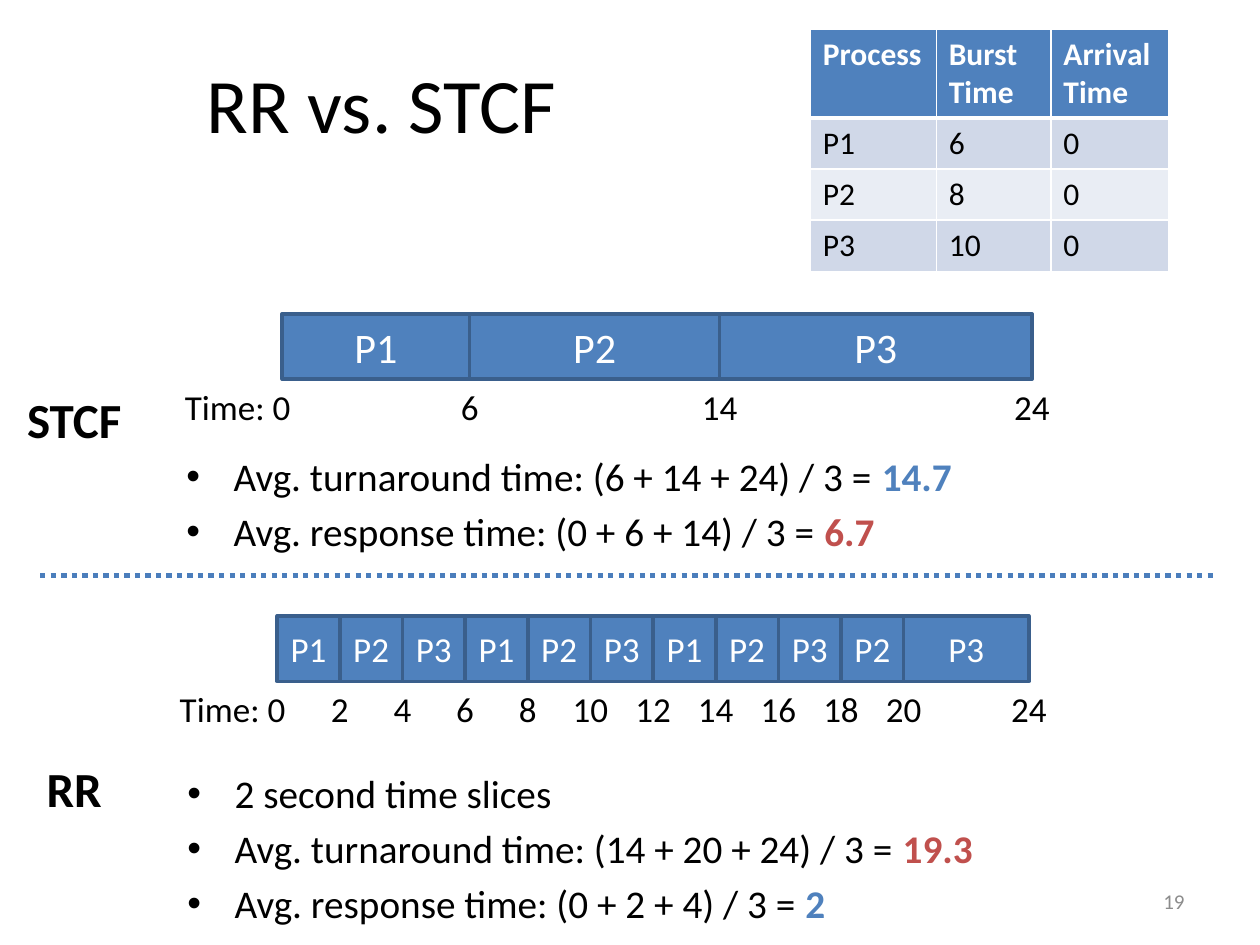
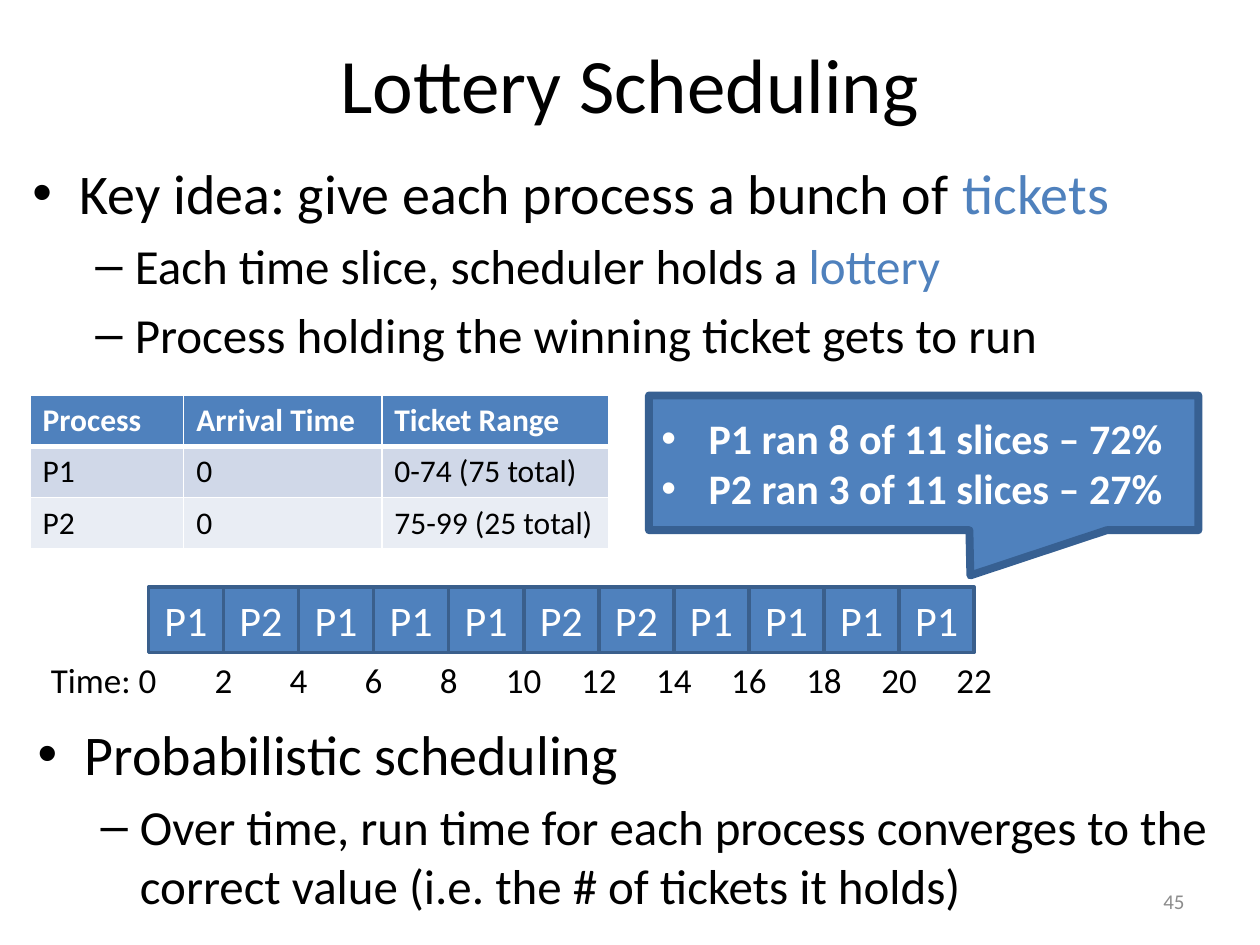
from lxml import etree
from pptx import Presentation
from pptx.dml.color import RGBColor
from pptx.enum.dml import MSO_LINE
from pptx.enum.shapes import MSO_CONNECTOR, MSO_SHAPE
from pptx.enum.text import MSO_ANCHOR, PP_ALIGN
from pptx.oxml.ns import qn
from pptx.util import Pt

BLUE = RGBColor(0x4F, 0x81, 0xBD)
EDGE = RGBColor(0x3A, 0x5F, 0x8C)
NAVY = RGBColor(0x37, 0x60, 0x92)
RULE = RGBColor(0x4B, 0x7E, 0xBC)
RED = RGBColor(0xC0, 0x50, 0x4D)
BLACK = RGBColor(0, 0, 0)
WHITE = RGBColor(255, 255, 255)
GRAY = RGBColor(0x8C, 0x8C, 0x8C)
BAND = RGBColor(0xD0, 0xD8, 0xE8)
PALE = RGBColor(0xE9, 0xED, 0xF4)
FONT = "Calibri"
LEFT, MID, RIGHT = PP_ALIGN.LEFT, PP_ALIGN.CENTER, PP_ALIGN.RIGHT
TOP, MIDDLE = MSO_ANCHOR.TOP, MSO_ANCHOR.MIDDLE
RECT, CALLOUT = MSO_SHAPE.RECTANGLE, MSO_SHAPE.RECTANGULAR_CALLOUT
LINE, DOTS = MSO_CONNECTOR.STRAIGHT, MSO_LINE.ROUND_DOT

# Bullet mark, left margin and hanging indent for each level
LEVELS = [("•", 27, -27), ("–", 58.5, -22.5)]


def style(par, size, color=BLACK, bold=False, align=LEFT):
    par.alignment = align
    for run in par.runs:
        font = run.font
        font.name, font.size, font.bold = FONT, Pt(size), bold
        font.color.rgb = color


def bullet(par, level=0):
    mark, left, hang = LEVELS[level]
    par.level = level
    props = par._p.get_or_add_pPr()
    props.set("marL", str(Pt(left)))
    props.set("indent", str(Pt(hang)))
    etree.SubElement(props, qn("a:buFont")).set("typeface", "Arial")
    etree.SubElement(props, qn("a:buChar")).set("char", mark)


def label(slide, box, text, size, color=BLACK, bold=False, align=MID,
          anchor=TOP, wrap=False):
    frame = slide.shapes.add_textbox(*map(Pt, box)).text_frame
    frame.word_wrap = wrap
    frame.vertical_anchor = anchor
    frame.text = text
    style(frame.paragraphs[0], size, color, bold, align)


def block(slide, kind, box, fill, edge, weight):
    shape = slide.shapes.add_shape(kind, *map(Pt, box))
    shape.shadow.inherit = False
    shape.fill.solid()
    shape.fill.fore_color.rgb = fill
    shape.line.color.rgb = edge
    shape.line.width = Pt(weight)
    shape.text_frame.vertical_anchor = MIDDLE
    return shape


def frame_slide(deck, title, box, number):
    """Add a slide with its title and page number."""
    slide = deck.slides.add_slide(deck.slide_layouts[6])
    label(slide, box, title, 44, anchor=MIDDLE, wrap=True)
    label(slide, (516, 500.5, 168, 28.8), number, 12, GRAY,
          align=RIGHT, anchor=MIDDLE, wrap=True)
    return slide


def points(slide, box, items):
    """Bullets: (level, size, text, accent text, accent colour, bold)."""
    frame = slide.shapes.add_textbox(*map(Pt, box)).text_frame
    frame.word_wrap = True
    for i, (level, size, text, accent, color, bold) in enumerate(items):
        par = frame.add_paragraph() if i else frame.paragraphs[0]
        par.text = text
        par.space_before = Pt(size * 0.2)
        style(par, size)
        bullet(par, level)
        if accent:
            run = par.add_run()
            run.text = accent
            font = run.font
            font.name, font.size, font.bold = FONT, Pt(size), bold
            font.color.rgb = color


def border(cell, head):
    props = cell._tc.get_or_add_tcPr()
    for i, side in enumerate(("lnL", "lnR", "lnT", "lnB")):
        width = 3 if head and side == "lnB" else 1
        line = etree.Element(qn("a:" + side), w=str(Pt(width)))
        fill = etree.SubElement(line, qn("a:solidFill"))
        etree.SubElement(fill, qn("a:srgbClr")).set("val", str(WHITE))
        props.insert(i, line)


def grid(slide, left, top, cols, heights, rows):
    """Table with a blue head and banded rows."""
    box = (left, top, sum(cols), sum(heights))
    table = slide.shapes.add_table(len(rows), len(cols), *map(Pt, box)).table
    for col, width in zip(table.columns, cols):
        col.width = Pt(width)
    for r, (row, high) in enumerate(zip(rows, heights)):
        table.rows[r].height = Pt(high)
        head = r == 0
        for c, text in enumerate(row):
            cell = table.cell(r, c)
            cell.text = text
            style(cell.text_frame.paragraphs[0], 18,
                  WHITE if head else BLACK, head)
            cell.fill.solid()
            cell.fill.fore_color.rgb = BLUE if head else (PALE, BAND)[r % 2]
            border(cell, head)


def gantt(slide, left, top, unit, size, jobs):
    """Bars for (name, length) jobs, with times below their edges."""
    high, now = 37.4, 0
    label(slide, (left - 62.8, top + high, 75.6, 31.7), "Time: 0", 20,
          align=LEFT)
    for name, span in jobs:
        box = (left + now * unit, top, span * unit, high)
        bar = block(slide, RECT, box, BLUE, EDGE, 2)
        frame = bar.text_frame
        frame.margin_left = frame.margin_right = 0
        frame.text = name
        style(frame.paragraphs[0], size, WHITE, align=MID)
        now += span
        edge = left + now * unit
        label(slide, (edge - 17.6, top + high, 35.2, 31.7), str(now), 20)


def callout(slide, box, lines):
    shape = block(slide, CALLOUT, box, BLUE, NAVY, 4.5)
    shape.adjustments[0], shape.adjustments[1] = 0.085, 0.836
    frame = shape.text_frame
    frame.word_wrap = True
    frame.text = "\n".join(lines)
    for par in frame.paragraphs:
        style(par, 24, WHITE, True)
        bullet(par)


def rule(slide, left, top, width):
    line = slide.shapes.add_connector(
        LINE, Pt(left), Pt(top), Pt(left + width), Pt(top))
    line.line.color.rgb = RULE
    line.line.width = Pt(3)
    line.line.dash_style = DOTS
    etree.SubElement(line._element.spPr, qn("a:effectLst"))


def versus(deck):
    slide = frame_slide(deck, "RR vs. STCF", (20, 13.7, 396, 90), "19")
    grid(slide, 463, 16.6, (72, 65.5, 67.5), (50.8, 29.2, 29.2, 29.2), [
        ("Process", "Burst Time", "Arrival Time"),
        ("P1", "6", "0"), ("P2", "8", "0"), ("P3", "10", "0")])

    # Upper half: STCF
    gantt(slide, 161.3, 179.3, 17.85, 24, [("P1", 6), ("P2", 8), ("P3", 10)])
    label(slide, (7.9, 219, 69, 41), "STCF", 28, bold=True)
    points(slide, (99.4, 255, 526, 57), [
        (0, 22.4, "Avg. turnaround time: (6 + 14 + 24) / 3 = ",
         "14.7", BLUE, True),
        (0, 22.4, "Avg. response time: (0 + 6 + 14) / 3 = ",
         "6.7", RED, True)])
    rule(slide, 23, 329, 672.5)

    # Lower half: RR
    turns = ["P1", "P2", "P3"] * 3 + ["P2"]
    gantt(slide, 158.4, 352, 17.9, 20,
          [(name, 2) for name in turns] + [("P3", 4)])
    label(slide, (19.4, 430, 46, 41), "RR", 28, bold=True)
    points(slide, (100, 436, 620, 89), [
        (0, 22.4, "2 second time slices", "", BLACK, False),
        (0, 22.4, "Avg. turnaround time: (14 + 20 + 24) / 3 = ",
         "19.3", RED, True),
        (0, 22.4, "Avg. response time: (0 + 2 + 4) / 3 = ",
         "2", BLUE, True)])


def lottery(deck):
    slide = frame_slide(deck, "Lottery Scheduling", (36, 2.2, 648, 90), "45")
    points(slide, (11.5, 87, 693, 145), [
        (0, 32, "Key idea: give each process a bunch of ",
         "tickets", BLUE, False),
        (1, 28, "Each time slice, scheduler holds a ",
         "lottery", BLUE, False),
        (1, 28, "Process holding the winning ticket gets to run",
         "", BLACK, False)])
    points(slide, (14.4, 407.5, 693, 132.5), [
        (0, 32, "Probabilistic scheduling", "", BLACK, False),
        (1, 28, "Over time, run time for each process converges to the "
         "correct value (i.e. the # of tickets it holds)",
         "", BLACK, False)])
    grid(slide, 17.2, 226, (87.8, 113.2, 129.8), (29.2, 29.2, 29.2), [
        ("Process", "Arrival Time", "Ticket Range"),
        ("P1", "0", "0-74 (75 total)"), ("P2", "0", "75-99 (25 total)")])

    # Draws and their tally
    draws = "P1 P2 P1 P1 P1 P2 P2 P1 P1 P1 P1".split()
    gantt(slide, 84.8, 335.5, 21.45, 24, [(name, 2) for name in draws])
    callout(slide, (370.8, 226, 314, 77), [
        "P1 ran 8 of 11 slices – 72%", "P2 ran 3 of 11 slices – 27%"])


def main():
    deck = Presentation()
    deck.slide_width, deck.slide_height = Pt(720), Pt(540)
    versus(deck)
    lottery(deck)
    deck.save("out.pptx")


if __name__ == "__main__":
    main()
